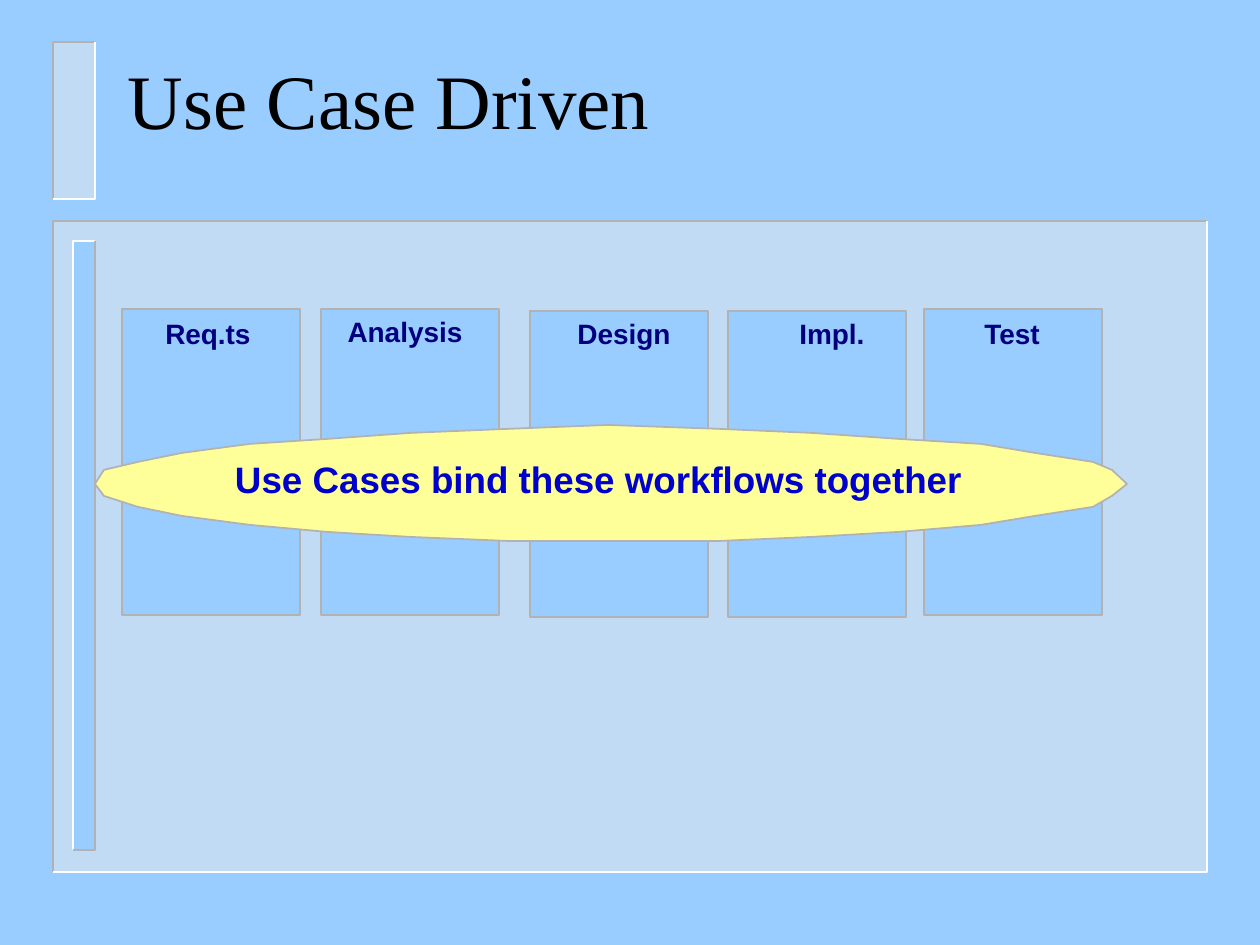
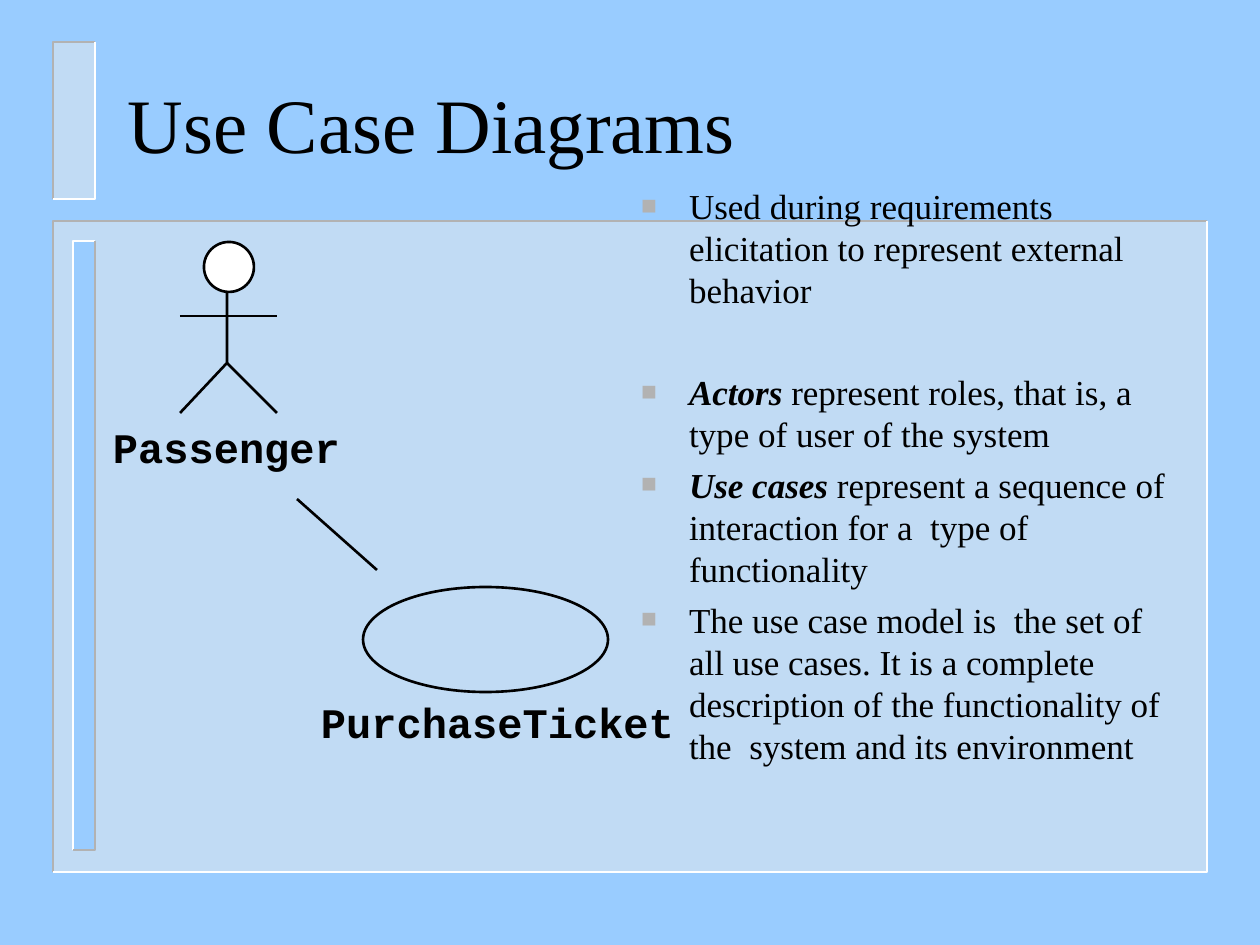
from dataclasses import dataclass

from lxml import etree
from pptx import Presentation
from pptx.dml.color import RGBColor
from pptx.enum.shapes import MSO_CONNECTOR as Connector, MSO_SHAPE as Preset
from pptx.enum.text import MSO_ANCHOR as Anchor, PP_ALIGN as Align
from pptx.oxml.ns import qn
from pptx.util import Pt

SCALE = 914400 / 126  # EMU in one px


@dataclass(frozen=True)
class Theme:
    sky: str = "99CCFF"
    panel: str = "EAEAEA"
    gray: str = "B2B2B2"
    white: str = "FFFFFF"
    black: str = "000000"
    navy: str = "00007F"
    blue: str = "0000CC"
    yellow: str = "FFFF99"
    serif: str = "Times New Roman"
    sans: str = "Arial"
    mono: str = "Courier New"
    title: int = 44
    body: int = 20
    label: int = 16
    banner: int = 21
    code: int = 24


THEME = Theme()


def px(length):
    return round(length * SCALE)


# ---- Drawing helpers ----

def paint(shape, fill=None, line=None, width=1.0, alpha=None):
    shape.shadow.inherit = False
    if fill:
        shape.fill.solid()
        shape.fill.fore_color.rgb = RGBColor.from_string(fill)
        if alpha:
            color = shape.fill._xPr.find(".//" + qn("a:srgbClr"))
            etree.SubElement(color, qn("a:alpha")).set("val", str(alpha * 1000))
    else:
        shape.fill.background()
    if line:
        shape.line.color.rgb = RGBColor.from_string(line)
        shape.line.width = Pt(width)
    else:
        shape.line.fill.background()


def add_preset(slide, preset, box, **style):
    shape = slide.shapes.add_shape(preset, *map(px, box))
    paint(shape, **style)


def add_path(slide, points, close=False, **style):
    builder = slide.shapes.build_freeform(*points[0], scale=SCALE)
    builder.add_line_segments(points[1:], close=close)
    paint(builder.convert_to_shape(), **style)


def add_line(slide, start, end):
    line = slide.shapes.add_connector(
        Connector.STRAIGHT, *map(px, (*start, *end)))
    line.line.color.rgb = RGBColor.from_string(THEME.black)
    line.line.width = Pt(1.5)
    etree.SubElement(line._element.spPr, qn("a:effectLst"))


def add_run(paragraph, text, size, font, color, bold=False, italic=False):
    run = paragraph.add_run()
    run.text = text
    run.font.size = Pt(size)
    run.font.name = font
    run.font.color.rgb = RGBColor.from_string(color)
    run.font.bold = bold
    run.font.italic = italic


def add_frame(slide, box, margins=(12, 6), wrap=True, anchor=Anchor.TOP):
    frame = slide.shapes.add_textbox(*map(px, box)).text_frame
    frame.word_wrap = wrap
    frame.vertical_anchor = anchor
    frame.margin_left = frame.margin_right = px(margins[0])
    frame.margin_top = frame.margin_bottom = px(margins[1])
    return frame


def add_caption(slide, box, text, size, font, color, align=Align.CENTER, **layout):
    paragraph = add_frame(slide, box, **layout).paragraphs[0]
    paragraph.alignment = align
    add_run(paragraph, text, size, font, color, bold=True)


# ---- Shared slide parts ----

def add_bevel(slide, box, upper, lower):
    """Edge a box: one colour on top and left, another on right and bottom."""
    left, top, width, height = box
    right, bottom = left + width, top + height
    for corner, color in (((left, top), upper), ((right, bottom), lower)):
        add_path(slide, [(right, top), corner, (left, bottom)], line=color)


def add_backdrop(slide):
    slide.background.fill.solid()
    slide.background.fill.fore_color.rgb = RGBColor.from_string(THEME.sky)
    panel, groove, tab = (53, 221, 1154, 651), (73, 241, 22, 609), (53, 42, 42, 157)
    add_preset(slide, Preset.RECTANGLE, panel, fill=THEME.panel, alpha=50)
    add_bevel(slide, panel, THEME.gray, THEME.white)
    add_preset(slide, Preset.RECTANGLE, groove, fill=THEME.sky)
    add_bevel(slide, groove, THEME.white, THEME.gray)
    add_preset(slide, Preset.RECTANGLE, tab, fill=THEME.panel, alpha=50)
    add_bevel(slide, tab, THEME.gray, THEME.white)


def add_title(slide, text, width, anchor):
    frame = add_frame(slide, (116, 47, width, 152), anchor=anchor)
    add_run(frame.paragraphs[0], text, THEME.title, THEME.serif, THEME.black)


def start_slide(presentation, title, title_width, anchor):
    slide = presentation.slides.add_slide(presentation.slide_layouts[6])
    add_backdrop(slide)
    add_title(slide, title, title_width, anchor)
    return slide


# ---- Use Case Driven ----

# name, column left and top, label centre and top
WORKFLOWS = [
    ("Req.ts", 122, 309, 208, 311),
    ("Analysis", 321, 309, 405, 309),
    ("Design", 530, 311, 624, 311),
    ("Impl.", 728, 311, 832, 311),
    ("Test", 924, 309, 1012, 311),
]


def add_workflow(slide, name, left, top, label_center, label_top):
    add_preset(slide, Preset.RECTANGLE, (left, top, 178, 306),
               fill=THEME.sky, line=THEME.gray, width=0.75)
    add_caption(slide, (label_center - 105, label_top, 210, 45), name,
                THEME.label, THEME.sans, THEME.navy)


def add_binding_banner(slide, left, top):
    # Half outlines run from the crown out to each tip
    right_side = [513, 625, 717, 804, 886, 940, 998, 1017, 1032]
    left_side = [513, 412, 315, 232, 155, 87, 43, 9, 0]
    upper = [0, 4, 8, 14, 19, 28, 37, 45, 59]
    lower = [116, 116, 112, 107, 100, 91, 82, 71, 59]
    outline = (list(zip(right_side, upper))
               + list(zip(right_side, lower))[-2::-1]
               + list(zip(left_side, lower))[1:]
               + list(zip(left_side, upper))[-2:0:-1])
    add_path(slide, [(left + x, top + y) for x, y in outline], close=True,
             fill=THEME.yellow, line=THEME.gray)
    add_caption(slide, (left + 84, top + 26, 839, 57),
                "Use Cases bind these workflows together",
                THEME.banner, THEME.sans, THEME.blue)


def build_driven_slide(presentation):
    slide = start_slide(presentation, "Use Case Driven", 619, Anchor.TOP)
    for workflow in WORKFLOWS:
        add_workflow(slide, *workflow)
    add_binding_banner(slide, 95, 425)


# ---- Use Case Diagrams ----

# space before in points, emphasised opening, remaining text
POINTS = [
    (0, "", "Used during requirements elicitation to represent external behavior"),
    (34, "Actors", " represent roles, that is, a type of user of the system"),
    (5, "Use cases",
     " represent a sequence of interaction for a  type of functionality"),
    (5, "", "The use case model is  the set of all use cases. It is a complete "
            "description of the functionality of the  system and its environment"),
]


def add_bullet(paragraph):
    properties = paragraph._p.get_or_add_pPr()
    properties.set("marL", str(px(48)))
    properties.set("indent", str(-px(48)))
    color = etree.SubElement(properties, qn("a:buClr"))
    etree.SubElement(color, qn("a:srgbClr")).set("val", THEME.gray)
    etree.SubElement(properties, qn("a:buSzPct")).set("val", "75000")
    etree.SubElement(properties, qn("a:buFont")).set("typeface", THEME.serif)
    etree.SubElement(properties, qn("a:buChar")).set("char", "■")


def add_points(slide, box):
    frame = add_frame(slide, box)
    for index, (space, opening, text) in enumerate(POINTS):
        paragraph = frame.add_paragraph() if index else frame.paragraphs[0]
        add_bullet(paragraph)
        if space:
            paragraph.space_before = Pt(space)
        style = (THEME.body, THEME.serif, THEME.black)
        if opening:
            add_run(paragraph, opening, *style, bold=True, italic=True)
        add_run(paragraph, text, *style)


def add_name(slide, box, name):
    add_caption(slide, box, name, THEME.code, THEME.mono, THEME.black,
                align=Align.LEFT, margins=(0, 0), wrap=False)


def add_actor(slide, left, top, name):
    hip = (left + 114, top + 121)
    add_path(slide, [(left + 114, top + 35), hip, (left + 67, top + 171)],
             line=THEME.black, width=1.5)
    add_line(slide, hip, (left + 164, top + 171))
    add_line(slide, (left + 67, top + 74), (left + 164, top + 74))
    add_preset(slide, Preset.OVAL, (left + 91, top, 50, 50),
               fill=THEME.white, line=THEME.black, width=1.5)
    add_name(slide, (left, top + 180, 227, 50), name)


def add_use_case(slide, left, top, name):
    add_preset(slide, Preset.OVAL, (left + 42, top, 245, 105),
               line=THEME.black, width=1.5)
    add_name(slide, (left, top + 110, 353, 50), name)


def build_diagrams_slide(presentation):
    slide = start_slide(presentation, "Use Case Diagrams", 1071, Anchor.MIDDLE)
    add_points(slide, (629, 179, 558, 678))
    add_actor(slide, 113, 242, "Passenger")
    add_use_case(slide, 321, 587, "PurchaseTicket")
    add_line(slide, (297, 499), (377, 570))


def main():
    presentation = Presentation()
    presentation.slide_width = px(1260)
    presentation.slide_height = px(945)
    build_driven_slide(presentation)
    build_diagrams_slide(presentation)
    presentation.save("out.pptx")


if __name__ == "__main__":
    main()
